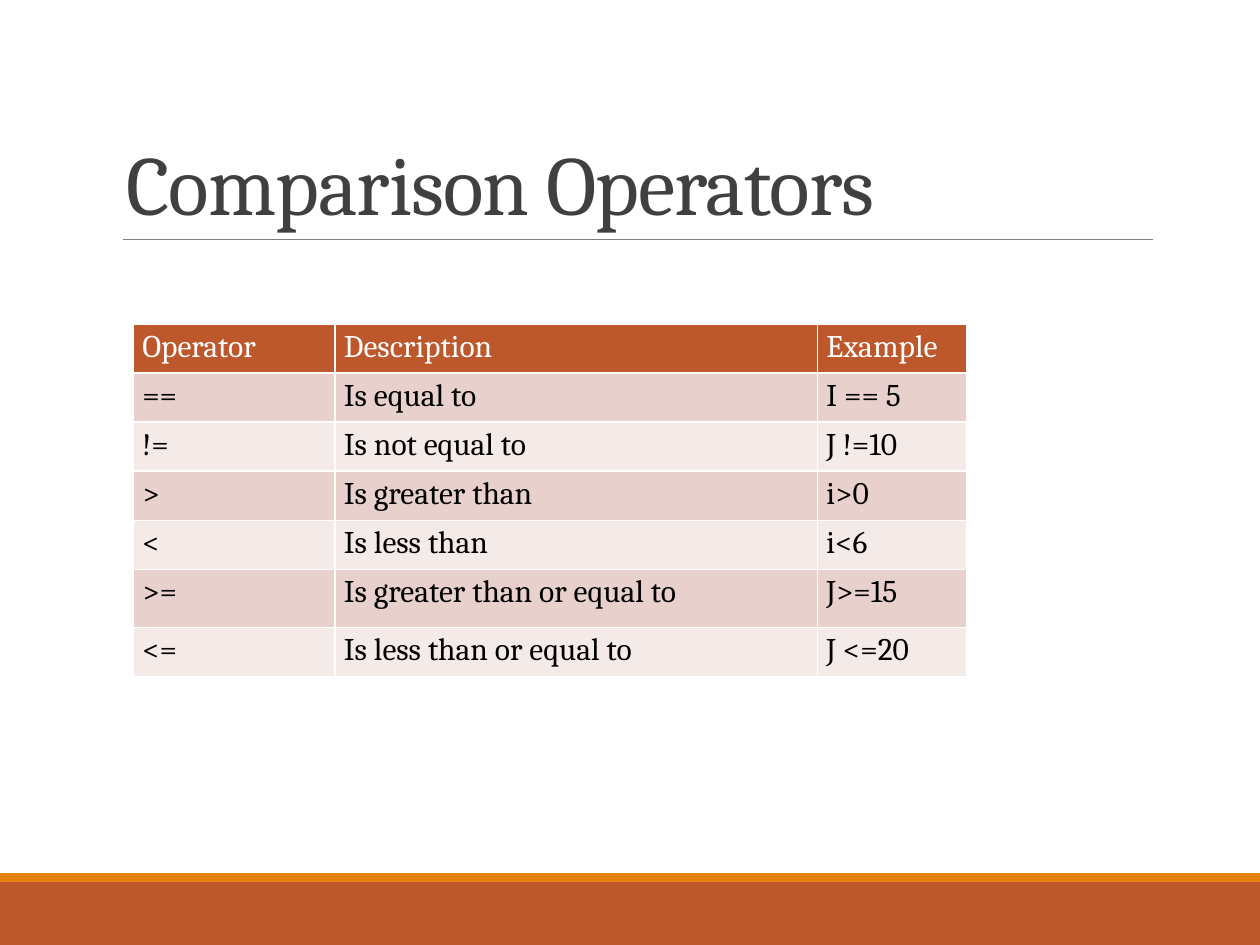
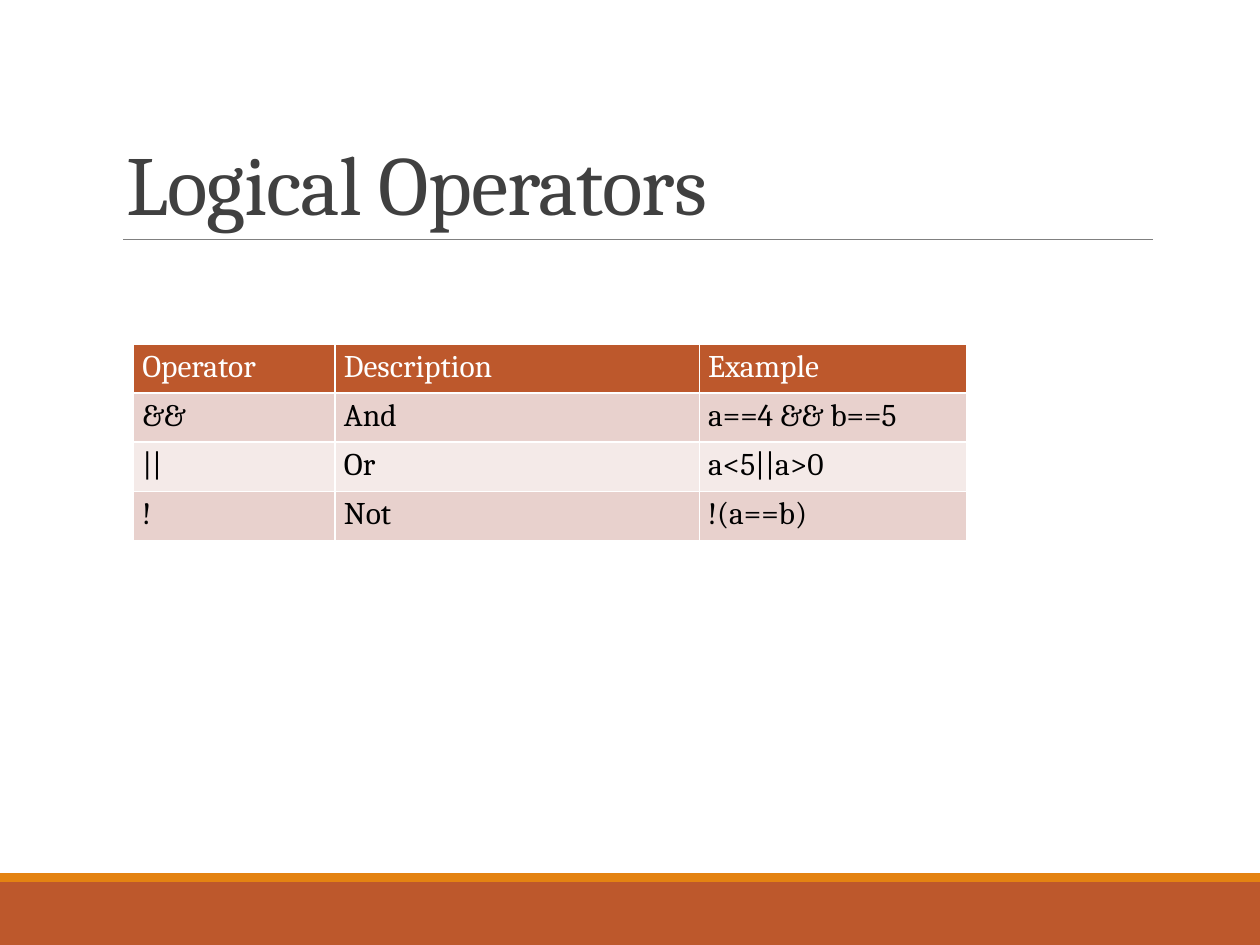
"""Build two slides that list comparison and logical operators in tables."""
from lxml.etree import SubElement
from pptx import Presentation
from pptx.dml.color import RGBColor
from pptx.enum.shapes import MSO_CONNECTOR, MSO_SHAPE
from pptx.enum.text import MSO_ANCHOR, MSO_AUTO_SIZE, PP_ALIGN
from pptx.oxml.ns import qn
from pptx.util import Inches, Pt

RUST = RGBColor(0xBD, 0x58, 0x2C)
ORANGE = RGBColor(0xE4, 0x83, 0x12)
GREY = RGBColor(0x80, 0x80, 0x80)
CHARCOAL = RGBColor(0x40, 0x40, 0x40)
WHITE = RGBColor(0xFF, 0xFF, 0xFF)
BLACK = RGBColor(0, 0, 0)
ROW_FILLS = [RGBColor(0xE8, 0xD1, 0xCD), RGBColor(0xF4, 0xEA, 0xE8)]
FONT = "Cambria"
ROW_HEIGHT = 0.39
TABLE_LEFT = 1.06
BANDS = [(7, 0.5, RUST), (6.93, 0.07, ORANGE)]
HEADER = ("Operator", "Description", "Example")

SLIDES = [
    {
        "title": "Comparison Operators",
        "top": 2.57,
        "widths": [1.6, 3.83, 1.18],
        "tall_rows": {5: 0.46},
        "rows": [
            ("==", "Is equal to", "I == 5"),
            ("!=", "Is not equal to", "J !=10"),
            (">", "Is greater than", "i>0"),
            ("<", "Is less than", "i<6"),
            (">=", "Is greater than or equal to", "J>=15"),
            ("<=", "Is less than or equal to", "J <=20"),
        ],
    },
    {
        "title": "Logical Operators",
        "top": 2.73,
        "widths": [1.6, 2.89, 2.12],
        "tall_rows": {},
        "rows": [
            ("&&", "And", "a==4 && b==5"),
            ("||", "Or", "a<5||a>0"),
            ("!", "Not", "!(a==b)"),
        ],
    },
]


def style_run(r, size, color):
    r.font.name = FONT
    r.font.size = Pt(size)
    r.font.bold = False
    r.font.color.rgb = color


def add_frame(s):
    for top, height, color in BANDS:
        sp = s.shapes.add_shape(MSO_SHAPE.RECTANGLE, 0, Inches(top), Inches(10), Inches(height))
        sp.shadow.inherit = False
        sp.fill.solid()
        sp.fill.fore_color.rgb = color
        sp.line.fill.background()
    rule = s.shapes.add_connector(
        MSO_CONNECTOR.STRAIGHT, Inches(0.98), Inches(1.9), Inches(9.15), Inches(1.9))
    rule.line.color.rgb = GREY
    rule.line.width = Pt(0.5)
    SubElement(rule._element.spPr, qn("a:effectLst"))


def set_title(s, text):
    sp = s.shapes.title
    sp.left, sp.top, sp.width, sp.height = map(Inches, (0.9, 0.31, 8.25, 1.59))
    tf = sp.text_frame
    tf.text = text
    tf.word_wrap = True
    tf.auto_size = MSO_AUTO_SIZE.NONE
    tf.vertical_anchor = MSO_ANCHOR.BOTTOM
    p = tf.paragraphs[0]
    p.alignment = PP_ALIGN.LEFT
    p.line_spacing = 0.85
    r = p.runs[0]
    style_run(r, 48, CHARCOAL)
    r._r.get_or_add_rPr().set("spc", "-50")


def fill_cell(cell, text, fill, color):
    cell.margin_left = cell.margin_right = Inches(0.07)
    cell.margin_top = cell.margin_bottom = Inches(0.04)
    cell.fill.solid()
    cell.fill.fore_color.rgb = fill
    cell.text_frame.text = text
    style_run(cell.text_frame.paragraphs[0].runs[0], 18, color)


def add_operator_table(s, top, widths, rows, tall_rows):
    rows = [HEADER, *rows]
    heights = [tall_rows.get(i, ROW_HEIGHT) for i in range(len(rows))]
    table = s.shapes.add_table(
        len(rows), len(widths), Inches(TABLE_LEFT), Inches(top),
        Inches(sum(widths)), Inches(sum(heights))).table
    for column, width in zip(table.columns, widths):
        column.width = Inches(width)
    for i, (row, height, texts) in enumerate(zip(table.rows, heights, rows)):
        row.height = Inches(height)
        fill, color = (ROW_FILLS[(i - 1) % 2], BLACK) if i else (RUST, WHITE)
        for cell, text in zip(row.cells, texts):
            fill_cell(cell, text, fill, color)


prs = Presentation()
prs.slide_width, prs.slide_height = Inches(10), Inches(7.5)
for content in SLIDES:
    s = prs.slides.add_slide(prs.slide_layouts[5])
    add_frame(s)
    set_title(s, content["title"])
    add_operator_table(s, content["top"], content["widths"], content["rows"], content["tall_rows"])
prs.save("out.pptx")
